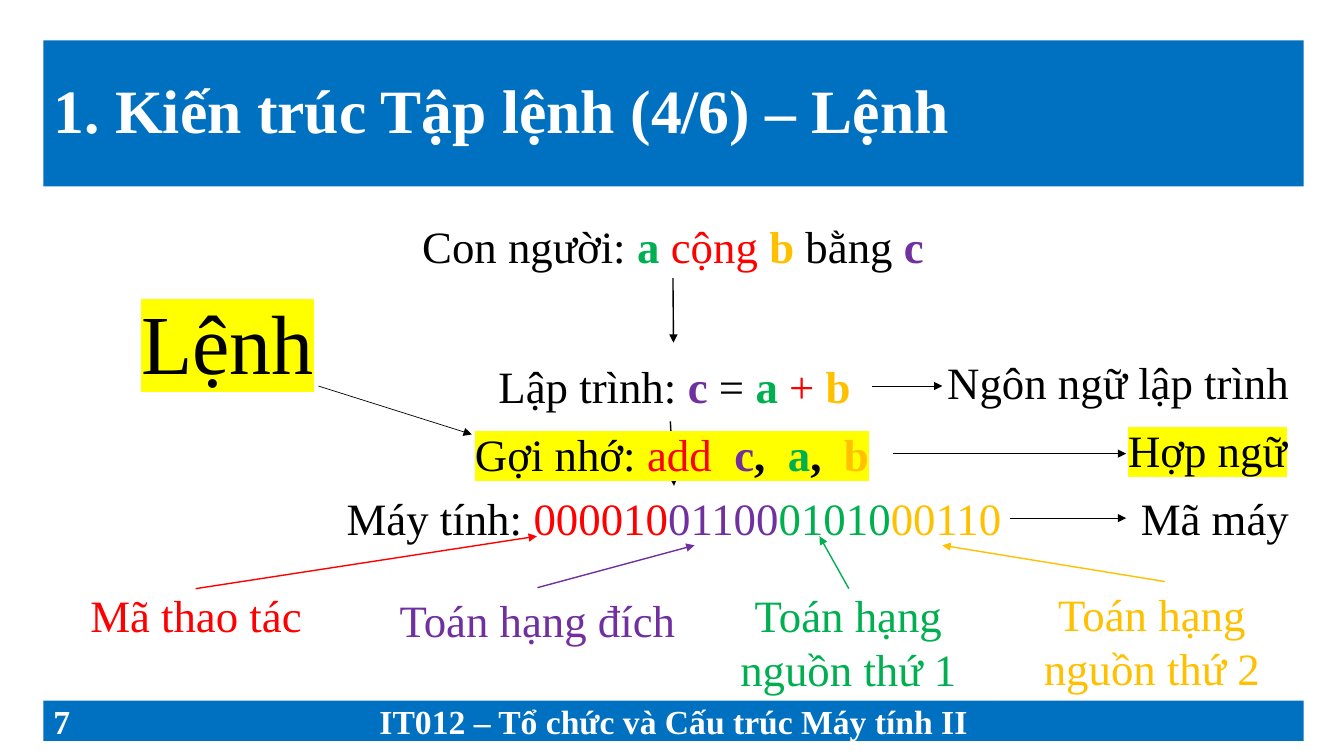
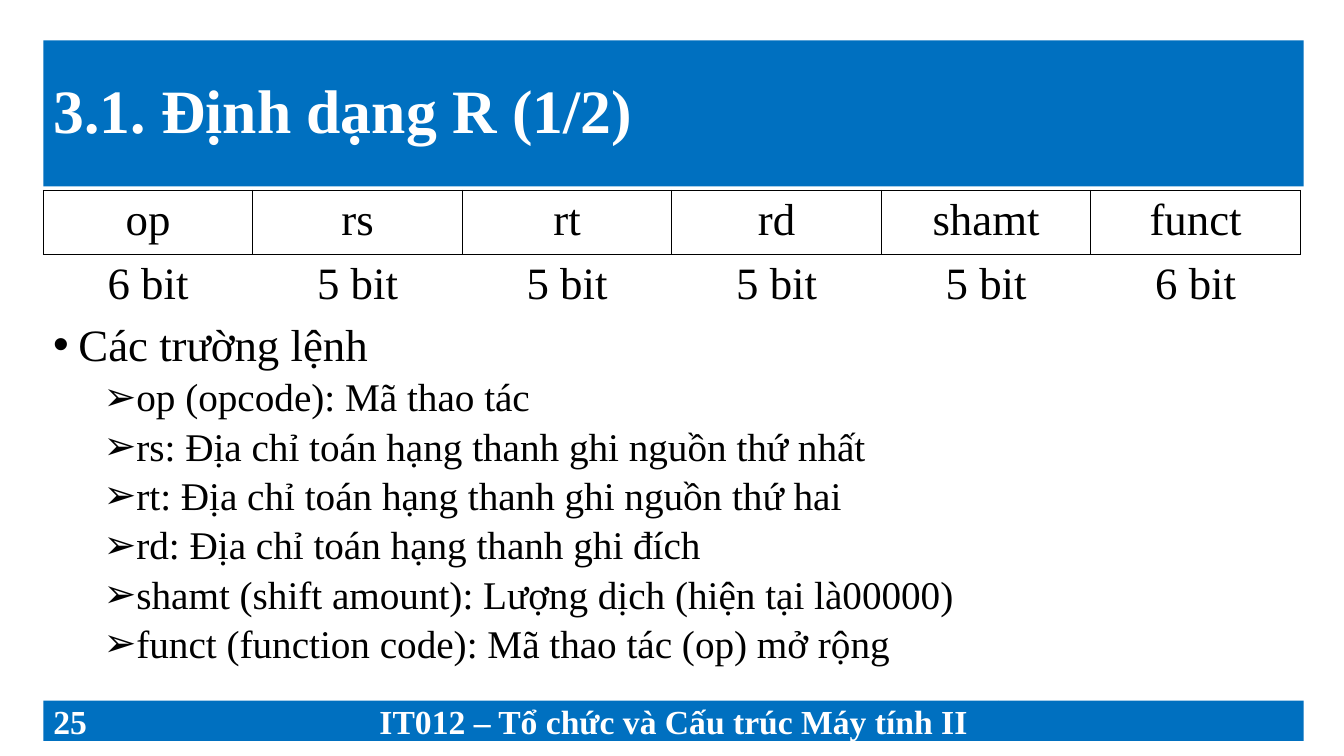
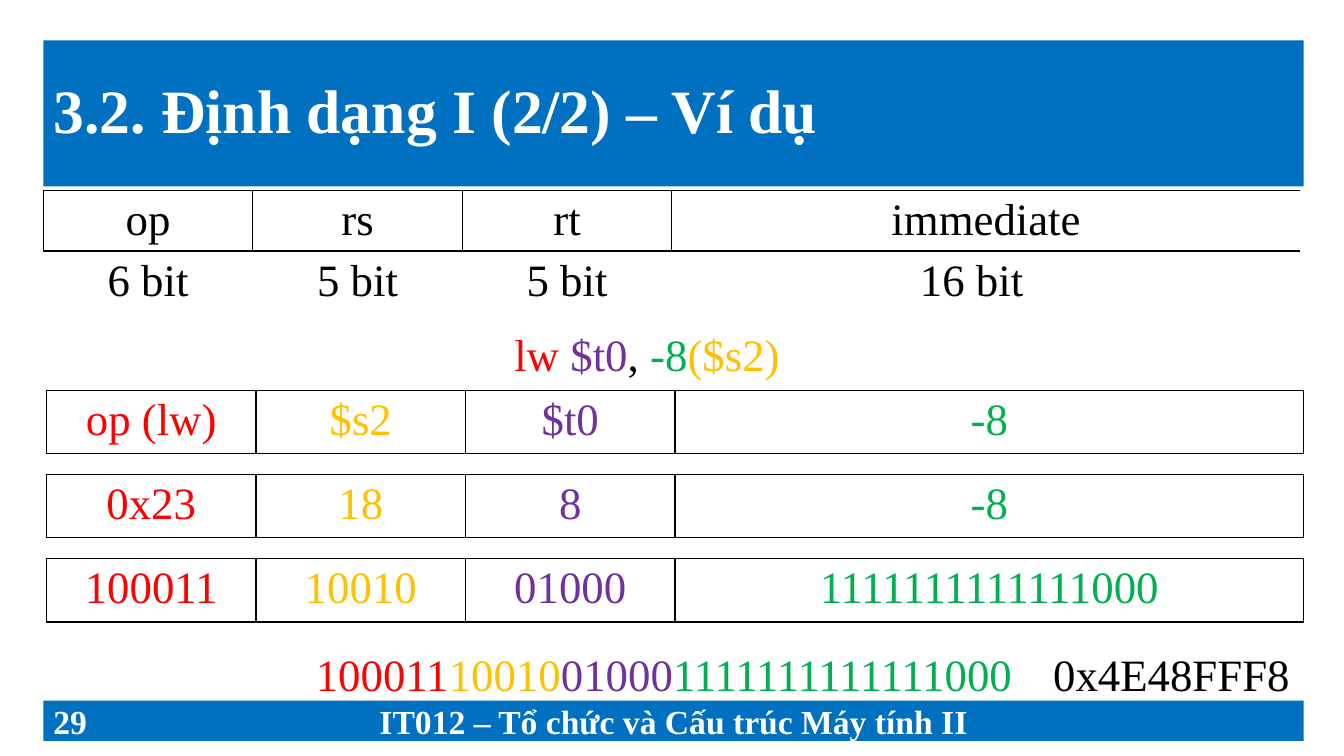
from dataclasses import dataclass
from typing import NamedTuple, Optional

from lxml import etree
from pptx import Presentation
from pptx import util as u
from pptx.dml.color import RGBColor
from pptx.enum import shapes, text
from pptx.oxml.ns import qn

BLACK = RGBColor(0x00, 0x00, 0x00)
WHITE = RGBColor(0xFF, 0xFF, 0xFF)
BLUE = RGBColor(0x00, 0x70, 0xC0)
RED = RGBColor(0xFF, 0x00, 0x00)
GREEN = RGBColor(0x00, 0xB0, 0x50)
GOLD = RGBColor(0xFF, 0xC0, 0x00)
PURPLE = RGBColor(0x70, 0x30, 0xA0)
YELLOW = RGBColor(0xFF, 0xFF, 0x00)

FONT = "Times New Roman"
COURSE = "IT012 – Tổ chức và Cấu trúc Máy tính II"
NO_TABLE_STYLE = "{2D5ABB26-0587-4C30-8999-92F81FD0307C}"

# Twelve columns between the margins, thirty rows down the whole slide.
SLIDE_WIDTH, SLIDE_HEIGHT = u.Inches(13.33), u.Inches(7.5)
MARGIN = u.Inches(0.43)
COLUMN = u.Inches(12.5) / 12
ROW = SLIDE_HEIGHT / 30
LINE_ROWS = 2.56
FOOTER_TOP, FOOTER_ROWS = 27.8, 1.6
FOOTER_COLUMNS = (2.91, 6.18, 2.91)
FORMAT_TOP, FORMAT_ROWS = 7.56, 2.4
VALUE_TOP, VALUE_STEP, VALUE_ROWS = 15.48, 3.34, 2.52
FIELD = 11.97 / 6

LEFT, CENTER = text.PP_ALIGN.LEFT, text.PP_ALIGN.CENTER
TOP_SIDE, LEFT_SIDE, BOTTOM_SIDE = 0, 1, 2


class Area(NamedTuple):
    left: float
    top: float
    columns: float
    rows: float = LINE_ROWS

    def box(self) -> tuple:
        return (*point(self.left, self.top), round(self.columns * COLUMN), round(self.rows * ROW))


class Phrase(NamedTuple):
    text: str
    color: RGBColor = BLACK
    bold: bool = False


@dataclass
class Label:
    area: Area
    phrases: list
    size: int = 32
    align: text.PP_ALIGN = CENTER
    highlight: Optional[RGBColor] = None


@dataclass
class Arrow:
    start: tuple
    end: tuple
    color: RGBColor = BLACK
    width: float = 1


def point(column: float, row: float) -> tuple:
    return round(MARGIN + column * COLUMN), round(row * ROW)


def add_xml(parent, tag: str, **attributes: str):
    return etree.SubElement(parent, qn(tag), attributes)


def write(paragraph, phrases: list, size: int, align=LEFT, highlight=None) -> None:
    paragraph.alignment = align
    paragraph.font.name = FONT
    paragraph.font.size = u.Pt(size)
    for phrase in phrases:
        run = paragraph.add_run()
        run.text = phrase.text
        run.font.bold = phrase.bold
        run.font.color.rgb = phrase.color
        if highlight is not None:
            mark = add_xml(run._r.get_or_add_rPr(), "a:highlight")
            add_xml(mark, "a:srgbClr", val=str(highlight))


def place(shape, area: Area) -> None:
    shape.left, shape.top, shape.width, shape.height = area.box()


def add_band(slide, area: Area, caption: str, align) -> None:
    band = slide.shapes.add_shape(shapes.MSO_SHAPE.RECTANGLE, *area.box())
    band.shadow.inherit = False
    band.fill.solid()
    band.fill.fore_color.rgb = BLUE
    band.line.fill.background()
    band.text_frame.vertical_anchor = text.MSO_ANCHOR.MIDDLE
    if caption:
        write(band.text_frame.paragraphs[0], [Phrase(caption, WHITE, True)], 24, align)


def add_titled_slide(presentation, title_text: str, number: int):
    """Add a slide with the shared title band and the three footer bands."""
    slide = presentation.slides.add_slide(presentation.slide_layouts.get_by_name("Title Only"))
    title = slide.shapes.title
    place(title, Area(0, 1.6, 12, 5.8))
    title.fill.solid()
    title.fill.fore_color.rgb = BLUE
    frame = title.text_frame
    frame.auto_size = text.MSO_AUTO_SIZE.NONE
    frame.vertical_anchor = text.MSO_ANCHOR.MIDDLE
    frame.paragraphs[0].line_spacing = 0.9
    write(frame.paragraphs[0], [Phrase(title_text, WHITE, True)], 44)

    left = 0.0
    captions = ((str(number), LEFT), (COURSE, CENTER), ("", CENTER))
    for columns, (caption, align) in zip(FOOTER_COLUMNS, captions):
        add_band(slide, Area(left, FOOTER_TOP, columns, FOOTER_ROWS), caption, align)
        left += columns
    return slide


def add_label(slide, label: Label):
    box = slide.shapes.add_textbox(*label.area.box())
    box.text_frame.word_wrap = True
    write(box.text_frame.paragraphs[0], label.phrases, label.size, label.align, label.highlight)
    return box


def add_arrow(slide, arrow: Arrow):
    connector = slide.shapes.add_connector(
        shapes.MSO_CONNECTOR.STRAIGHT, *point(*arrow.start), *point(*arrow.end))
    connector.line.color.rgb = arrow.color
    connector.line.width = u.Pt(arrow.width)
    properties = connector.element.spPr
    add_xml(properties.find(qn("a:ln")), "a:tailEnd", type="triangle")
    add_xml(properties, "a:effectLst")
    return connector


def add_border(cell, sides: str) -> None:
    properties = cell._tc.get_or_add_tcPr()
    for side in sides:
        line = add_xml(properties, f"a:ln{side}", w=str(u.Pt(1)))
        add_xml(add_xml(line, "a:solidFill"), "a:srgbClr", val=str(BLACK))


def add_field_table(slide, left: float, top: float, row_height: float, widths: list,
                    rows: list, span: int = 1) -> None:
    """Draw a boxed first row, whose last field spans some columns, over unboxed rows."""
    area = Area(left, top, sum(widths), row_height * len(rows))
    table = slide.shapes.add_table(len(rows), len(widths), *area.box()).table
    table.first_row = table.horz_banding = False
    table._tbl.tblPr.find(qn("a:tableStyleId")).text = NO_TABLE_STYLE
    for column, width in zip(table.columns, widths):
        column.width = round(width * COLUMN)
    if span > 1:
        table.cell(0, len(widths) - span).merge(table.cell(0, len(widths) - 1))
    for row_index, row in enumerate(rows):
        for index in range(len(widths)):
            cell = table.cell(row_index, index)
            if row_index == 0:
                inner_right = len(widths) - span <= index < len(widths) - 1
                sides = ("" if cell.is_spanned else "L") + ("" if inner_right else "R") + "TB"
                add_border(cell, sides)
            elif row_index == 1:
                add_border(cell, "T")
            cell.fill.background()
            if index < len(row) and row[index].text:
                write(cell.text_frame.paragraphs[0], [row[index]], 32, CENTER)


def add_bullet(paragraph, caption: str, level: int) -> None:
    mark, size, before = (("•", 32, 10), ("➢", 28, 5))[level]
    paragraph.level = level
    properties = paragraph._p.get_or_add_pPr()
    properties.set("marL", str(u.Inches(0.25 + 0.5 * level)))
    properties.set("indent", str(u.Inches(-0.25)))
    add_xml(properties, "a:buFont", typeface="Arial")
    add_xml(properties, "a:buChar", char=mark)
    paragraph.line_spacing = 0.9
    paragraph.space_before = u.Pt(before)
    write(paragraph, [Phrase(caption)], size)


def plain(*captions: str) -> list:
    return [Phrase(caption) for caption in captions]


def build_instruction_slide(presentation) -> None:
    slide = add_titled_slide(presentation, "1. Kiến trúc Tập lệnh (4/6) – Lệnh", 7)
    human = add_label(slide, Label(Area(2.8, 8.48, 6.39), [
        Phrase("Con người: "), Phrase("a ", GREEN, True), Phrase("cộng ", RED),
        Phrase("b ", GOLD, True), Phrase("bằng "), Phrase("c", PURPLE, True)]))
    machine = add_label(slide, Label(Area(2.21, 19.28, 7.59), [
        Phrase("Máy tính: "), Phrase("000010", RED), Phrase("01100", PURPLE),
        Phrase("01010", GREEN), Phrase("00110", GOLD)]))
    target = add_label(slide, Label(Area(3.25, 23.32, 2.91), [Phrase("Toán hạng đích", PURPLE)]))
    machine_code = add_label(slide, Label(Area(10.31, 19.28, 1.69), plain("Mã máy")))

    labels = [
        Label(Area(2.62, 14.04, 6.78), [
            Phrase("Lập trình: "), Phrase("c ", PURPLE, True), Phrase("= "),
            Phrase("a", GREEN, True), Phrase(" + ", RED), Phrase("b", GOLD, True)]),
        Label(Area(0.29, 23.12, 2.33), [Phrase("Mã thao tác", RED)]),
        Label(Area(6.5, 23.12, 2.33, 4.72), [Phrase("Toán hạng nguồn thứ 1", GREEN)]),
        Label(Area(9.39, 23.08, 2.33, 4.72), [Phrase("Toán hạng nguồn thứ 2", GOLD)]),
        Label(Area(8.45, 13.88, 3.57), plain("Ngôn ngữ lập trình")),
        Label(Area(10.17, 16.56, 1.83), plain("Hợp ngữ"), highlight=YELLOW),
        Label(Area(0.71, 11.32, 2.09, 4.44), plain("Lệnh"), 60, highlight=YELLOW),
    ]
    for label in labels:
        add_label(slide, label)

    add_arrow(slide, Arrow((6, 11.04), (6, 13.6))).begin_connect(human, BOTTOM_SIDE)
    add_arrow(slide, Arrow((5.97, 16.72), (5.98, 19.28))).end_connect(machine, TOP_SIDE)
    add_arrow(slide, Arrow((4.7, 23.32), (6.2, 21.64), PURPLE)).begin_connect(target, TOP_SIDE)
    add_arrow(slide, Arrow((9.2, 20.56), (10.31, 20.56), width=0.5)).end_connect(
        machine_code, LEFT_SIDE)
    arrows = [
        Arrow((1.45, 23.36), (4.7, 21.28), RED),
        Arrow((7.67, 23.36), (7.39, 21.28), GREEN),
        Arrow((10.68, 23.08), (8.56, 21.64), GOLD),
        Arrow((7.89, 15.32), (8.56, 15.32), width=0.5),
        Arrow((8.09, 18), (10.31, 18), width=0.5),
        Arrow((2.62, 15.32), (4.08, 17.24), width=0.5),
    ]
    for arrow in arrows:
        add_arrow(slide, arrow)

    # The mnemonic covers the middle of the arrow down to the machine code.
    add_label(slide, Label(Area(3.75, 16.72, 4.47), [
        Phrase("Gợi nhớ: "), Phrase("add  ", RED), Phrase("c", PURPLE, True),
        Phrase(",  ", BLACK, True), Phrase("a", GREEN, True),
        Phrase(",  ", BLACK, True), Phrase("b", GOLD, True)],
        highlight=YELLOW))


def build_r_format_slide(presentation) -> None:
    slide = add_titled_slide(presentation, "3.1. Định dạng R (1/2)", 25)
    body = slide.shapes.add_textbox(*Area(0, 12.6, 9.61, 14.4).box())
    body.text_frame.word_wrap = True
    add_bullet(body.text_frame.paragraphs[0], "Các trường lệnh", 0)
    for field in (
        "op (opcode): Mã thao tác",
        "rs: Địa chỉ toán hạng thanh ghi nguồn thứ nhất",
        "rt: Địa chỉ toán hạng thanh ghi nguồn thứ hai",
        "rd: Địa chỉ toán hạng thanh ghi đích",
        "shamt (shift amount): Lượng dịch (hiện tại là00000)",
        "funct (function code): Mã thao tác (op) mở rộng",
    ):
        add_bullet(body.text_frame.add_paragraph(), field, 1)
    add_field_table(slide, 0, FORMAT_TOP, FORMAT_ROWS, [FIELD] * 6, [
        plain("op", "rs", "rt", "rd", "shamt", "funct"),
        plain("6 bit", "5 bit", "5 bit", "5 bit", "5 bit", "6 bit")])


def build_i_format_slide(presentation) -> None:
    slide = add_titled_slide(presentation, "3.2. Định dạng I (2/2) – Ví dụ", 29)
    add_field_table(slide, 0, FORMAT_TOP, FORMAT_ROWS, [FIELD] * 4 + [1.72, 2.27], [
        plain("op", "rs", "rt", "immediate"),
        plain("6 bit", "5 bit", "5 bit", "", "16 bit")], span=3)

    field_colors = (RED, GOLD, PURPLE, GREEN)
    binary = ("100011", "10010", "01000", "1111111111111000")
    encodings = (("op (lw)", "$s2", "$t0", "-8"), ("0x23", "18", "8", "-8"), binary)
    for index, encoding in enumerate(encodings):
        add_field_table(slide, 0.03, VALUE_TOP + index * VALUE_STEP, VALUE_ROWS,
                        [FIELD] * 3 + [3 * FIELD], [list(map(Phrase, encoding, field_colors))])

    labels = [
        Label(Area(4.39, 12.76, 3.2), [
            Phrase("lw ", RED), Phrase("$t0", PURPLE), Phrase(", "),
            Phrase("-8", GREEN), Phrase("($s2)", GOLD)], align=LEFT),
        Label(Area(2.5, 25.48, 7.03), list(map(Phrase, binary, field_colors)), align=LEFT),
        Label(Area(9.52, 25.48, 2.48), plain("0x4E48FFF8"), align=LEFT),
    ]
    for label in labels:
        add_label(slide, label)


def main() -> None:
    presentation = Presentation()
    presentation.slide_width, presentation.slide_height = SLIDE_WIDTH, SLIDE_HEIGHT
    build_instruction_slide(presentation)
    build_r_format_slide(presentation)
    build_i_format_slide(presentation)
    presentation.save("out.pptx")


if __name__ == "__main__":
    main()
